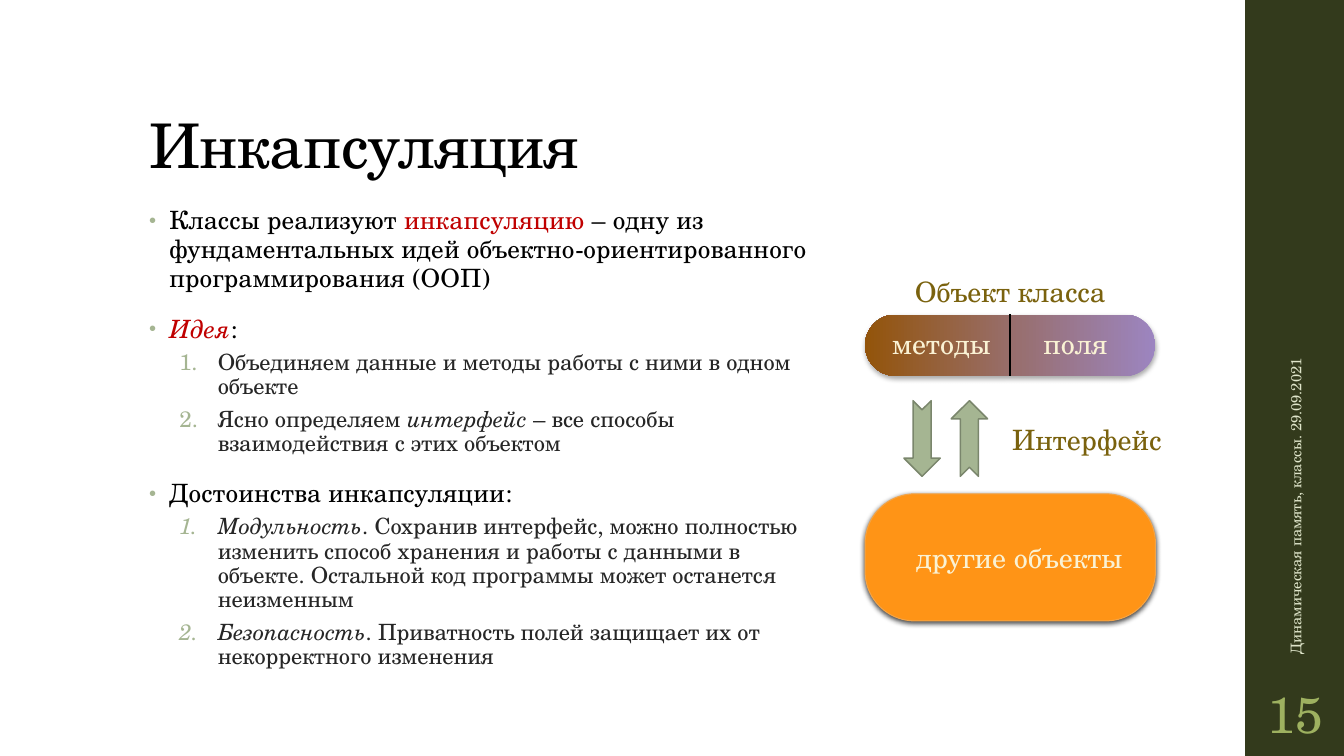
from copy import deepcopy

from lxml import etree
from pptx import Presentation
from pptx.dml.color import RGBColor
from pptx.enum.shapes import MSO_CONNECTOR, MSO_SHAPE
from pptx.enum.text import MSO_ANCHOR, MSO_AUTO_SIZE, PP_ALIGN
from pptx.oxml.ns import qn
from pptx.util import Emu, Pt

ROUNDED = MSO_SHAPE.ROUNDED_RECTANGLE
RECTANGLE = MSO_SHAPE.RECTANGLE
ARROW = MSO_SHAPE.NOTCHED_RIGHT_ARROW
STRAIGHT = MSO_CONNECTOR.STRAIGHT
LEFT, CENTER = PP_ALIGN.LEFT, PP_ALIGN.CENTER
TOP, MIDDLE, BOTTOM = MSO_ANCHOR.TOP, MSO_ANCHOR.MIDDLE, MSO_ANCHOR.BOTTOM
FIT_SHAPE, NO_FIT = MSO_AUTO_SIZE.SHAPE_TO_FIT_TEXT, MSO_AUTO_SIZE.NONE

FONT = "TeX Gyre Schola"
BLACK, DARK, RED = "000000", "262626", "C00000"
SAGE, SAGE_DARK, OLIVE = "A5B592", "7A866C", "333A1C"
GOLD, CREAM = "7A620E", "FAF2D4"

# Each item: level, then runs of (text, italic, colour or None)
ITEMS = [
    (0, [("Классы реализуют ", False, None), ("инкапсуляцию", False, RED),
         (" – одну из фундаментальных идей объектно-ориентированного "
          "программирования (ООП)", False, None)]),
    (0, [("Идея", True, RED), (":", False, None)]),
    (1, [("Объединяем данные и методы работы с ними в одном объекте", False, None)]),
    (1, [("Ясно определяем ", False, None), ("интерфейс ", True, None),
         ("– все способы взаимодействия с этих объектом", False, None)]),
    (0, [("Достоинства инкапсуляции:", False, None)]),
    (1, [("Модульность", True, None),
         (". Сохранив интерфейс, можно полностью изменить способ хранения и "
          "работы с данными в объекте. Остальной код программы может останется "
          "неизменным", False, None)]),
    (1, [("Безопасность", True, None),
         (". Приватность полей защищает их от некорректного изменения", False, None)]),
]


def px(value):
    """100 px to the inch."""
    return Emu(value * 9144)


def rgb(color):
    return RGBColor.from_string(color)


def place(shape, box):
    shape.left, shape.top, shape.width, shape.height = map(px, box)


def set_font(paragraph, size, color, tracking=0):
    font = paragraph.font
    font.name, font.size = FONT, Pt(size)
    font.color.rgb = rgb(color)
    paragraph._p.pPr.find(qn("a:defRPr")).set("spc", str(tracking))


def add_bullet(paragraph, level):
    indent, hanging = ((20, 20), (68, 38))[level]
    properties = paragraph._p.get_or_add_pPr()
    properties.set("marL", str(px(indent)))
    properties.set("indent", str(px(-hanging)))
    color = etree.SubElement(properties, qn("a:buClr"))
    etree.SubElement(color, qn("a:srgbClr"), val=SAGE)
    if level:
        etree.SubElement(properties, qn("a:buFont"), typeface="+mj-lt")
        etree.SubElement(properties, qn("a:buAutoNum"), type="arabicPeriod")
    else:
        etree.SubElement(properties, qn("a:buSzPct"), val="80000")
        etree.SubElement(properties, qn("a:buFont"), typeface="Arial")
        etree.SubElement(properties, qn("a:buChar"), char="•")


def fill_title(title, text):
    place(title, (138, 40, 1060, 145))
    frame = title.text_frame
    frame.auto_size, frame.vertical_anchor = NO_FIT, BOTTOM
    paragraph = frame.paragraphs[0]
    paragraph.text = text
    paragraph.alignment, paragraph.line_spacing = LEFT, 0.9
    set_font(paragraph, 44, BLACK, -50)


def fill_body(body):
    place(body, (138, 200, 682, 505))
    frame = body.text_frame
    frame.auto_size, frame.vertical_anchor = NO_FIT, TOP
    for index, (level, runs) in enumerate(ITEMS):
        paragraph = frame.add_paragraph() if index else frame.paragraphs[0]
        paragraph.level = level
        paragraph.line_spacing = (0.95, 0.9)[level]
        paragraph.space_before = Pt((14, 3)[level])
        paragraph.space_after = Pt((2, 3)[level])
        add_bullet(paragraph, level)
        set_font(paragraph, (18, 16)[level], (BLACK, DARK)[level], (10, 0)[level])
        for text, italic, color in runs:
            run = paragraph.add_run()
            run.text = text
            if italic:
                run.font.italic = True
            if color:
                run.font.color.rgb = rgb(color)


def add_text(slide, text, box, color, size=20, align=LEFT, wrap=False,
             anchor=TOP, fit=FIT_SHAPE):
    shape = slide.shapes.add_textbox(*map(px, box))
    frame = shape.text_frame
    frame.word_wrap, frame.auto_size, frame.vertical_anchor = wrap, fit, anchor
    paragraph = frame.paragraphs[0]
    paragraph.text, paragraph.alignment = text, align
    set_font(paragraph, size, color)
    return shape


def add_shape(slide, kind, box, fill, line=None, width=1.1, rotation=0):
    shape = slide.shapes.add_shape(kind, *map(px, box))
    shape.shadow.inherit = False
    shape.rotation = rotation
    shape.fill.solid()
    shape.fill.fore_color.rgb = rgb(fill)
    if line:
        shape.line.color.rgb, shape.line.width = rgb(line), Pt(width)
    else:
        shape.line.fill.background()
    return shape


def add_shadow(shape, opacity, blur, distance):
    effects = shape._element.spPr.find(qn("a:effectLst"))
    shadow = etree.SubElement(
        effects, qn("a:outerShdw"), blurRad=str(Pt(blur)), dist=str(Pt(distance)),
        dir="5400000", algn="ctr", rotWithShape="0")
    color = etree.SubElement(shadow, qn("a:srgbClr"), val=BLACK)
    etree.SubElement(color, qn("a:alpha"), val=str(opacity * 1000))


def set_gradient(shape, start, middle, end, middle_percent):
    """Three stops, running from right to left."""
    shape.fill.gradient()
    shape.fill.gradient_angle = 180
    for stop, color in zip(shape.fill.gradient_stops, (start, end)):
        stop.color.rgb = rgb(color)
    stops = shape._element.spPr.find(".//" + qn("a:gsLst"))
    middle_stop = deepcopy(stops[0])
    middle_stop.set("pos", str(middle_percent * 1000))
    middle_stop[0].set("val", middle)
    stops.insert(1, middle_stop)


def add_divider(slide, shape):
    line = slide.shapes.add_connector(STRAIGHT, 0, 0, 0, 0)
    line.begin_connect(shape, 0)
    line.end_connect(shape, 2)
    line.line.color.rgb, line.line.width = rgb(BLACK), Pt(1.1)
    etree.SubElement(line._element.spPr, qn("a:effectLst"))


def add_diagram(slide):
    # Class object: methods and fields
    capsule = add_shape(slide, ROUNDED, (858, 312, 288, 61), SAGE)
    capsule.adjustments[0] = 0.5
    set_gradient(capsule, "9C85C0", "986F70", "93540A", 47)
    add_shadow(capsule, 32, 3.5, 2.2)
    add_divider(slide, capsule)
    add_text(slide, "методы", (875, 319, 119, 44), CREAM)
    add_text(slide, "поля", (1025, 319, 85, 44), CREAM)
    add_text(slide, "Объект класса", (858, 267, 288, 44), GOLD, align=CENTER, wrap=True)

    # Interface: arrows down and up
    for left, rotation in ((877, 90), (924, 270)):
        add_shape(slide, ARROW, (left, 417, 75, 36), SAGE, SAGE_DARK, rotation=rotation)
    add_text(slide, "Интерфейс", (994, 414, 170, 44), GOLD)

    # Other objects
    others = add_shape(slide, ROUNDED, (858, 490, 288, 126), "FF9416", "F3A447", 0.75)
    others.adjustments[0] = 0.39
    add_shadow(others, 75, 4, 1.2)
    add_text(slide, "другие объекты", (899, 531, 230, 44), CREAM)


def add_sidebar(slide):
    add_shape(slide, RECTANGLE, (1235, 0, 100, 750), OLIVE)
    footer = add_text(slide, "Динамическая память, классы. 29.09.2021",
                      (1089, 443, 392, 40), "DFE5CA", 10.5, wrap=True,
                      anchor=MIDDLE, fit=NO_FIT)
    footer.rotation = 270
    number = add_text(slide, "15", (1235, 675, 100, 65), "9EB160", 36, CENTER,
                      wrap=True, anchor=MIDDLE, fit=NO_FIT)
    frame = number.text_frame
    frame.margin_left = frame.margin_right = px(5)


def main():
    presentation = Presentation()
    presentation.slide_width, presentation.slide_height = px(1333), px(750)
    slide = presentation.slides.add_slide(presentation.slide_layouts[1])
    fill_title(slide.shapes.title, "Инкапсуляция")
    fill_body(slide.placeholders[1])
    add_sidebar(slide)
    add_diagram(slide)
    presentation.save("out.pptx")


if __name__ == "__main__":
    main()
